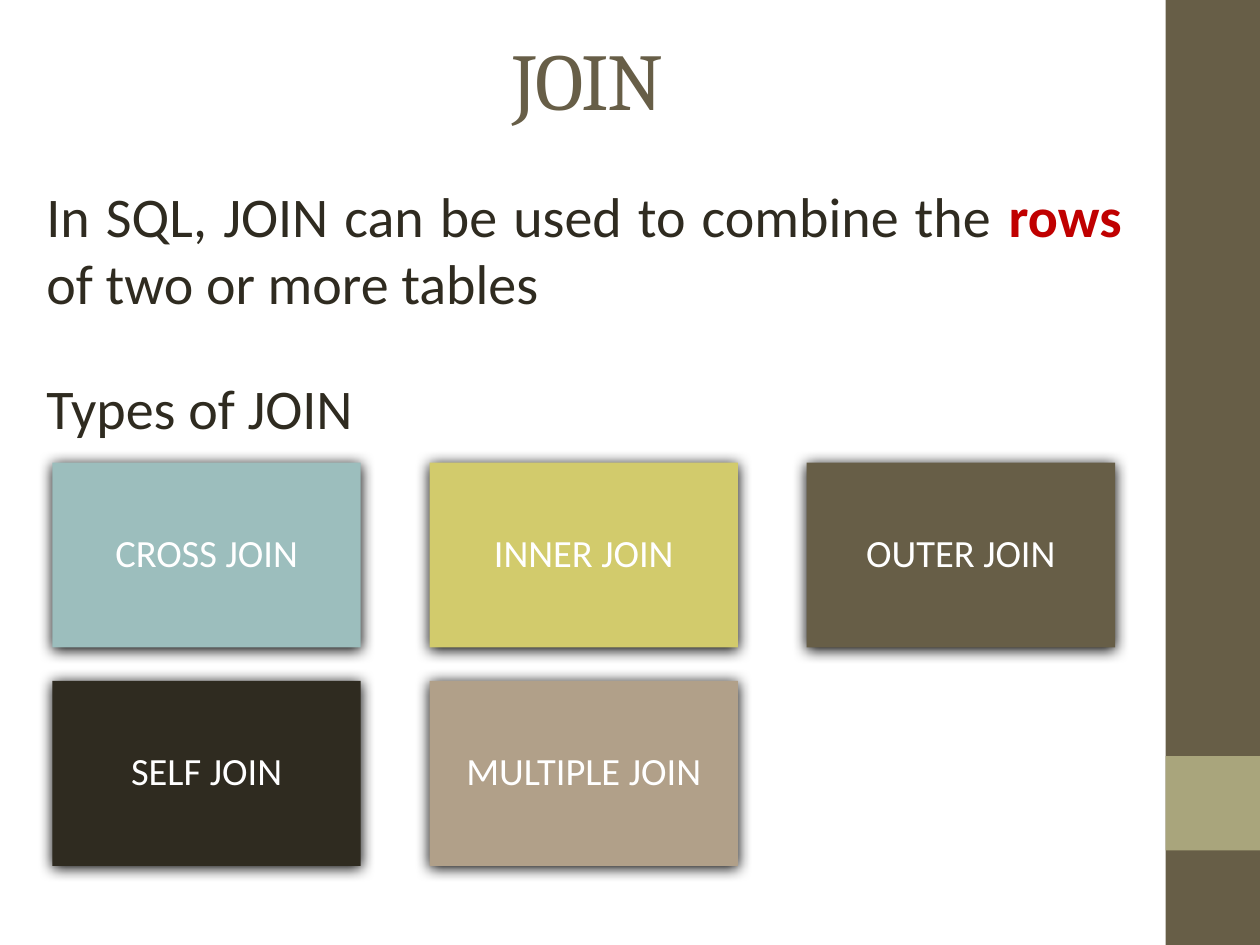
"""Build a slide on the types of SQL JOIN."""
from lxml.etree import SubElement
from pptx import Presentation
from pptx.dml.color import RGBColor
from pptx.enum.shapes import MSO_SHAPE as Shape
from pptx.enum.text import MSO_ANCHOR as Anchor, PP_ALIGN as Align
from pptx.oxml.ns import qn
from pptx.util import Pt

OLIVE = RGBColor(0x67, 0x5E, 0x47)
SAGE = RGBColor(0xA9, 0xA5, 0x7C)
DARK = RGBColor(0x2F, 0x2B, 0x20)
RED = RGBColor(0xC0, 0x00, 0x00)
TEAL = RGBColor(0x9C, 0xBE, 0xBD)
LIME = RGBColor(0xD2, 0xCB, 0x6C)
TAN = RGBColor(0xB1, 0xA0, 0x89)
WHITE = RGBColor(0xFF, 0xFF, 0xFF)

TITLE = "JOIN"
BODY = [
    [("In SQL, JOIN can be used to combine the ", {}),
     ("rows", {"color": RED, "bold": True}),
     (" of two or more tables", {})],
    [("Types of JOIN", {})],
]
TYPES = [("CROSS JOIN", TEAL), ("INNER JOIN", LIME), ("OUTER JOIN", OLIVE),
         ("SELF JOIN", DARK), ("MULTIPLE JOIN", TAN)]
BARS = [((666, 0, 54, 540), OLIVE), ((666, 432, 54, 54), SAGE)]

HEAD = {"name": "Cambria", "size": Pt(46), "color": OLIVE, "bold": False}
TEXT = {"name": "Calibri", "size": Pt(32), "color": DARK, "bold": False}
LABEL = {"name": "Calibri", "size": Pt(22), "color": WHITE, "bold": False}

COLS = 3
LEFT, TOP = 30, 264.3
WIDE, HIGH = 176.2, 105.7
STEP_X, STEP_Y = 215.5, 124.8
GAP = 33


def style(font, form):
    for key, value in form.items():
        if key == "color":
            font.color.rgb = value
        else:
            setattr(font, key, value)


def add_run(para, text, form):
    run = para.add_run()
    run.text = text
    style(run.font, form)
    return run


def add_box(slide, area, fill):
    box = slide.shapes.add_shape(Shape.RECTANGLE, *map(Pt, area))
    box.shadow.inherit = False
    box.fill.solid()
    box.fill.fore_color.rgb = fill
    box.line.fill.background()
    return box


def add_shade(box):
    effects = box.element.spPr.find(qn("a:effectLst"))
    shade = SubElement(effects, qn("a:outerShdw"), blurRad=str(Pt(8.5)),
                       dist=str(Pt(1)), dir="5400000", rotWithShape="0")
    SubElement(shade, qn("a:srgbClr"), val="000000")


def add_title(slide):
    title = slide.shapes.title
    title.left, title.top, title.width, title.height = map(Pt, (36, 0, 600, 90))
    frame = title.text_frame
    frame.vertical_anchor = Anchor.MIDDLE
    para = frame.paragraphs[0]
    para.alignment = Align.CENTER
    run = add_run(para, TITLE, HEAD)
    run.font._element.set("spc", "-100")


def add_body(slide):
    area = map(Pt, (19.4, 100, 628.6, 85))
    frame = slide.shapes.add_textbox(*area).text_frame
    frame.word_wrap = True
    for i, parts in enumerate(BODY):
        para = frame.add_paragraph() if i else frame.paragraphs[0]
        para.alignment = Align.JUSTIFY
        if i:
            para.space_before = Pt(GAP)
        for text, form in parts:
            add_run(para, text, {**TEXT, **form})


def add_types(slide):
    for i, (name, fill) in enumerate(TYPES):
        row, col = divmod(i, COLS)
        area = (LEFT + col * STEP_X, TOP + row * STEP_Y, WIDE, HIGH)
        box = add_box(slide, area, fill)
        add_shade(box)
        frame = box.text_frame
        frame.word_wrap = True
        frame.vertical_anchor = Anchor.MIDDLE
        for side in ("left", "top", "right", "bottom"):
            setattr(frame, f"margin_{side}", Pt(6.5))
        para = frame.paragraphs[0]
        para.alignment = Align.CENTER
        para.line_spacing = 0.9
        add_run(para, name, LABEL)


def main():
    deck = Presentation()
    deck.slide_width, deck.slide_height = Pt(720), Pt(540)
    slide = deck.slides.add_slide(deck.slide_layouts[5])
    for area, fill in BARS:
        add_box(slide, area, fill)
    add_title(slide)
    add_body(slide)
    add_types(slide)
    deck.save("out.pptx")


if __name__ == "__main__":
    main()
